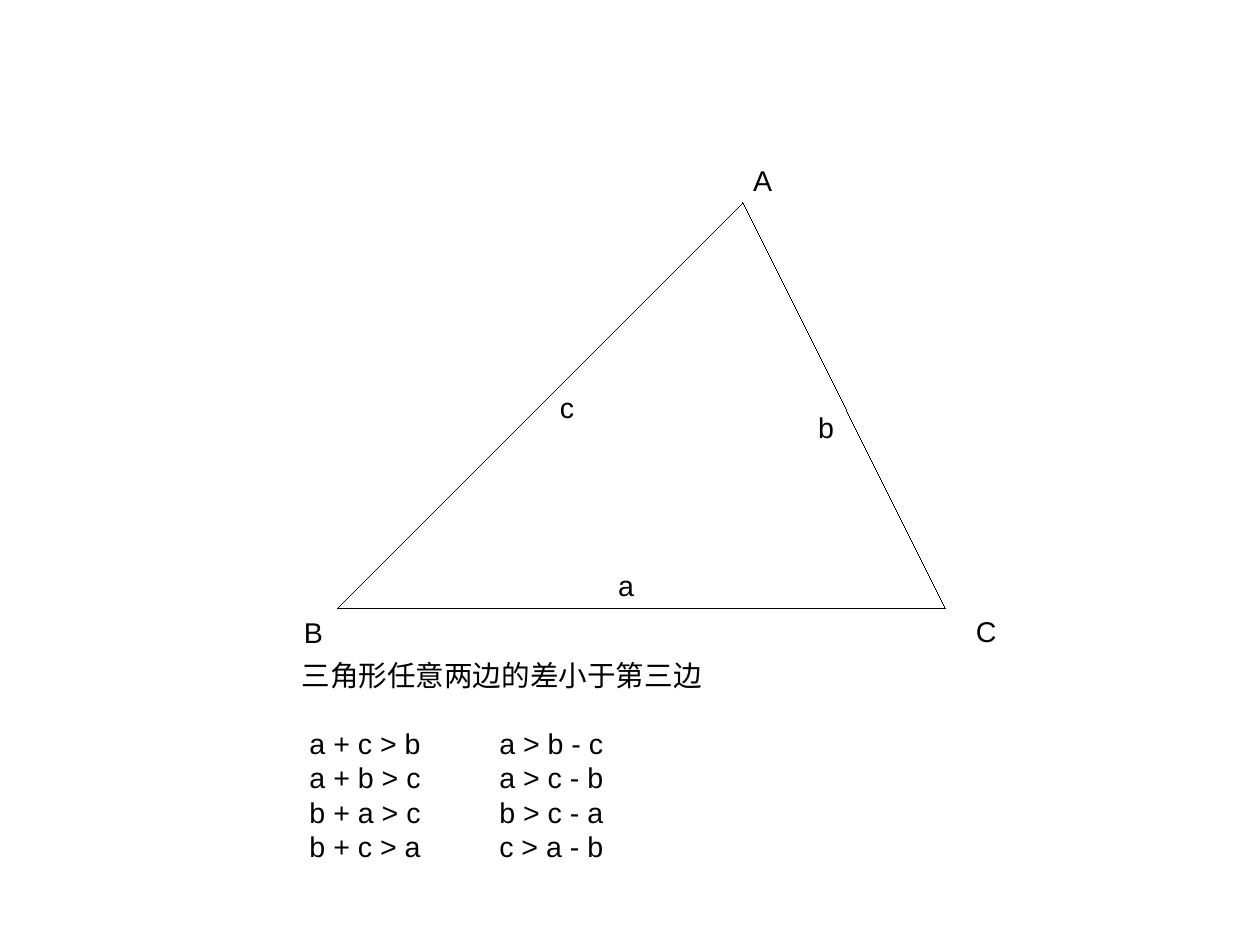
from dataclasses import dataclass

from lxml.etree import SubElement
from pptx import Presentation
from pptx.dml.color import RGBColor
from pptx.enum.shapes import MSO_CONNECTOR
from pptx.enum.text import MSO_AUTO_SIZE
from pptx.oxml.ns import qn
from pptx.slide import Slide
from pptx.text.text import TextFrame, _Paragraph as Paragraph
from pptx.util import Cm, Inches, Pt

BLACK = RGBColor(0x00, 0x00, 0x00)
FONT_NAME = "Arial"
FONT_SIZE = Pt(18)
SECOND_COLUMN = Inches(1.73)


@dataclass(frozen=True)
class Point:
    x: float
    y: float


@dataclass(frozen=True)
class Label:
    text: str
    left: float
    top: float
    width: float = 0.36
    height: float = 0.38
    wrap: bool = False


VERTEX_A = Point(6.5, 1.77)
VERTEX_B = Point(2.95, 5.32)
VERTEX_C = Point(8.27, 5.32)
SIDES = [(VERTEX_B, VERTEX_C), (VERTEX_B, VERTEX_A), (VERTEX_A, VERTEX_C)]

LABELS = [
    Label("A", 6.49, 1.38),
    Label("B", 2.56, 5.33),
    Label("C", 8.44, 5.32, 0.38),
    Label("a", 5.31, 4.92, 0.34),
    Label("b", 7.06, 3.54, 0.34, 0.54, wrap=True),
    Label("c", 4.8, 3.36, 0.32),
]

STATEMENT = Label("三角形任意两边的差小于第三边", 2.54, 5.71, 3.7, 1.86)
INEQUALITIES = [
    ("a + c > b", "a > b - c"),
    ("a + b > c", "a > c - b"),
    ("b + a > c", "b > c - a"),
    ("b + c > a", "c > a - b"),
]


def format_runs(para: Paragraph) -> None:
    for span in para.runs:
        span.font.name = FONT_NAME
        span.font.size = FONT_SIZE
        span.font.color.rgb = BLACK


def add_side(page: Slide, start: Point, end: Point) -> None:
    side = page.shapes.add_connector(
        MSO_CONNECTOR.STRAIGHT,
        Inches(start.x), Inches(start.y), Inches(end.x), Inches(end.y),
    )
    side.line.color.rgb = BLACK
    properties = side._element.spPr
    # A hairline needs its zero width written out
    properties.find(qn("a:ln")).set("w", "0")
    SubElement(properties, qn("a:effectLst"))


def add_label(page: Slide, label: Label) -> TextFrame:
    box = page.shapes.add_textbox(
        Inches(label.left), Inches(label.top),
        Inches(label.width), Inches(label.height),
    )
    frame = box.text_frame
    frame.word_wrap = label.wrap
    frame.auto_size = MSO_AUTO_SIZE.SHAPE_TO_FIT_TEXT
    frame.text = label.text
    format_runs(frame.paragraphs[0])
    return frame


def add_inequality(frame: TextFrame, sum_form: str, difference_form: str) -> Paragraph:
    para = frame.add_paragraph()
    para.text = f" {sum_form}\t{difference_form}"
    tab_list = SubElement(para._p.get_or_add_pPr(), qn("a:tabLst"))
    SubElement(tab_list, qn("a:tab"), pos=str(SECOND_COLUMN), algn="l")
    format_runs(para)
    return para


def main() -> None:
    deck = Presentation()
    deck.slide_width = Cm(28)
    deck.slide_height = Cm(21)
    page = deck.slides.add_slide(deck.slide_layouts[6])

    # Statement and its inequalities in two columns
    frame = add_label(page, STATEMENT)
    rows = [add_inequality(frame, *pair) for pair in INEQUALITIES]
    rows[0].space_before = Pt(21)

    # Triangle
    for start, end in SIDES:
        add_side(page, start, end)

    # Vertex and side names
    for label in LABELS:
        add_label(page, label)

    deck.save("out.pptx")


if __name__ == "__main__":
    main()
